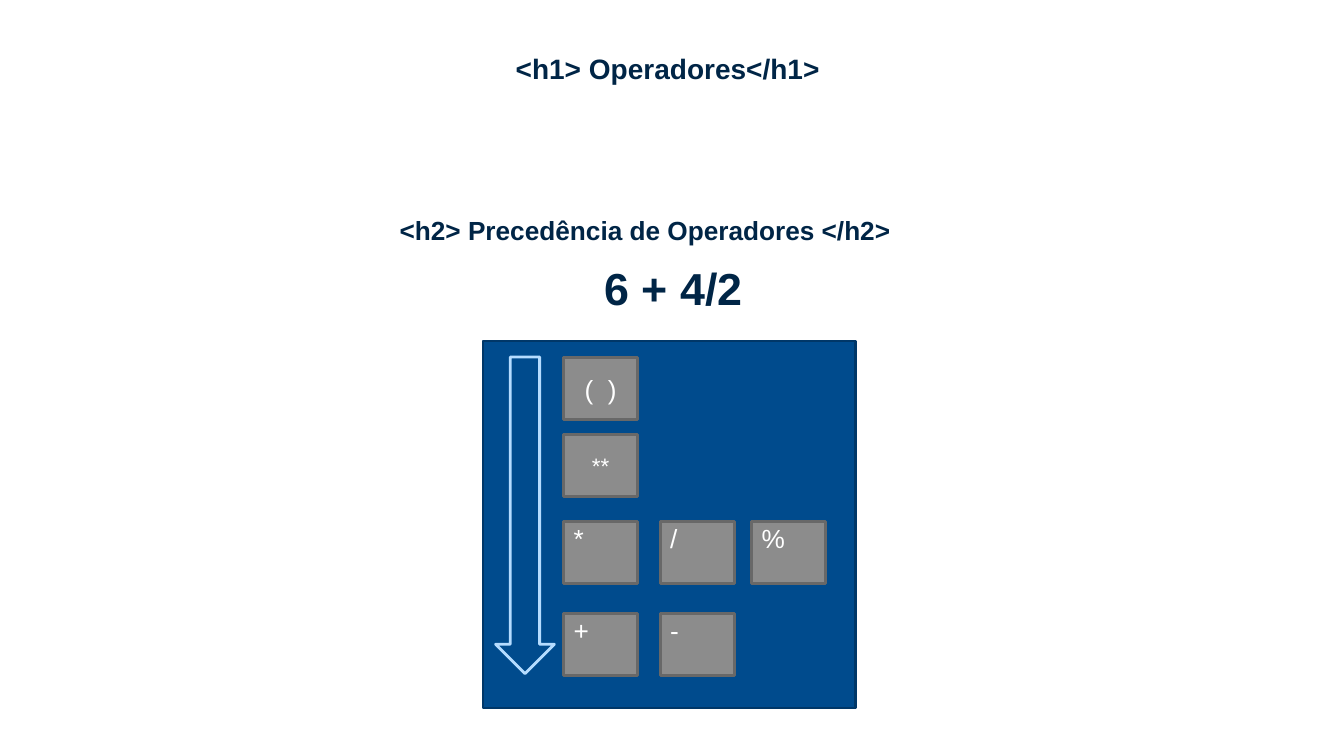
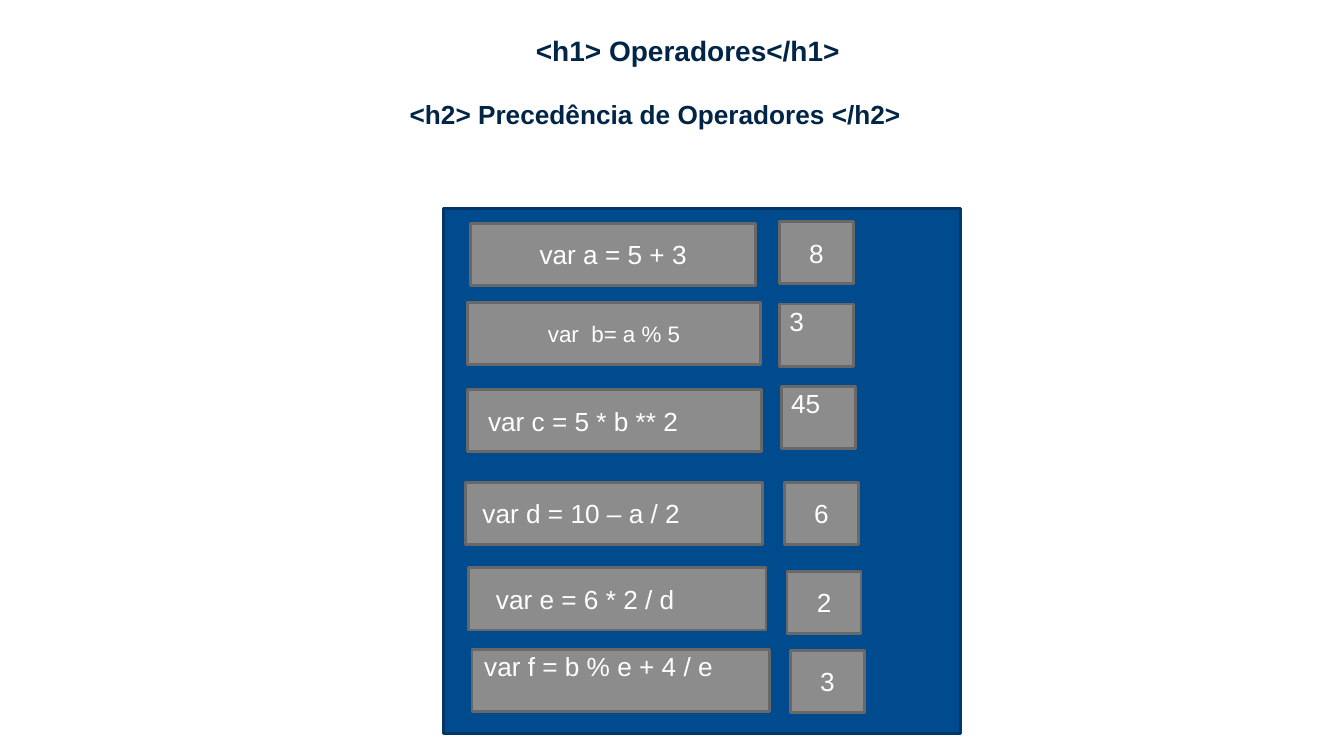
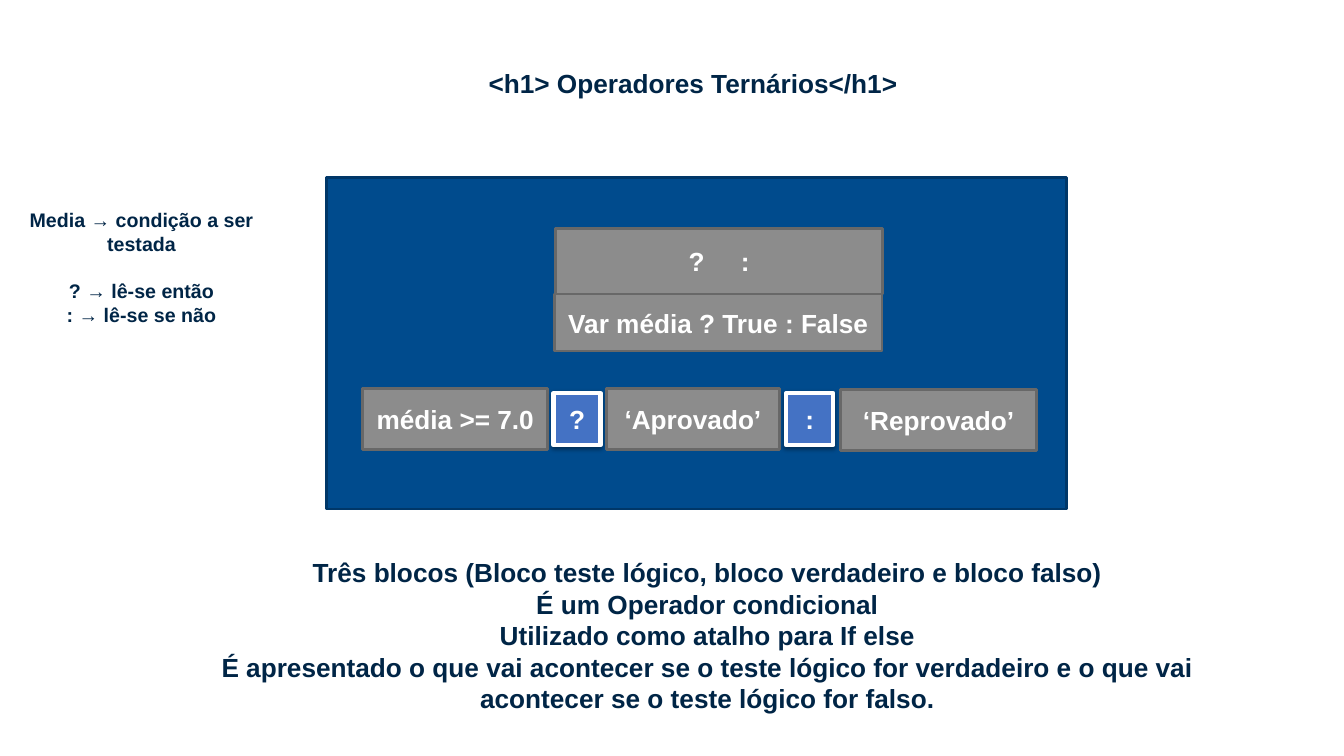
from dataclasses import dataclass
from typing import NamedTuple

import lxml.etree
import pptx
import pptx.dml.color
import pptx.enum.shapes
import pptx.enum.text
import pptx.oxml.ns
import pptx.util

KIND = pptx.enum.shapes.MSO_SHAPE
SIDE = pptx.enum.text.PP_ALIGN
HOLD = pptx.enum.text.MSO_ANCHOR
FIT = pptx.enum.text.MSO_AUTO_SIZE
qn = pptx.oxml.ns.qn


@dataclass(frozen=True)
class Theme:
    font: str = "Arial"
    ink: str = "002546"
    white: str = "FFFFFF"
    panel: str = "004B8D"
    edge: str = "003768"
    arrow: str = "B5DCFF"
    tile: str = "8C8C8C"
    rim: str = "686868"
    mark: str = "4472C4"
    huge: float = 32
    head: float = 20
    text: float = 18.7
    small: float = 16
    note: float = 14


class Box(NamedTuple):
    """Left, top, width and height in grid cells."""
    x: float
    y: float
    w: float
    h: float


@dataclass(frozen=True)
class Tile:
    """A labelled block; lead is a left inset in inches, None centres it."""
    text: str
    box: Box
    size: float = Theme.text
    bold: bool = False
    lead: float | None = None
    top: bool = False
    gap: float = 0
    mark: bool = False


THEME = Theme()
COLS, ROWS = 160, 90
WIDTH, HEIGHT = pptx.util.Inches(13.333), pptx.util.Inches(7.5)
PAD = 0.13
TILE_W, TILE_H = 8.8, 7.4


def place(box: Box) -> tuple[int, int, int, int]:
    """Turn grid cells into slide lengths."""
    dx, dy = WIDTH / COLS, HEIGHT / ROWS
    return round(box.x * dx), round(box.y * dy), round(box.w * dx), round(box.h * dy)


def tint(code: str) -> pptx.dml.color.RGBColor:
    return pptx.dml.color.RGBColor.from_string(code)


def write(frame, text: str, *, size: float = THEME.text, color: str = THEME.ink,
          bold: bool = True, align=SIDE.CENTER, anchor=HOLD.TOP, pad: float = PAD,
          lead: float | None = None, rise: float = PAD, fit=FIT.NONE,
          gap: float = 0, breaks: dict[int, float] | None = None) -> None:
    """Fill a frame; gap widens the spaces, breaks gives space before by line."""
    frame.word_wrap, frame.auto_size = True, fit
    frame.vertical_anchor = anchor
    frame.margin_left = pptx.util.Inches(pad if lead is None else lead)
    frame.margin_right = pptx.util.Inches(pad)
    frame.margin_top = frame.margin_bottom = pptx.util.Inches(rise)
    for num, line in enumerate(text.split("\n")):
        para = frame.paragraphs[0] if num == 0 else frame.add_paragraph()
        props = para._p.get_or_add_pPr()
        props.set("marL", "0")
        props.set("indent", "0")
        para.alignment = align
        para.space_before = pptx.util.Pt((breaks or {}).get(num, 0))
        lxml.etree.SubElement(props, qn("a:buNone"))
        for part in line.partition(" ") if gap else (line,):
            run = para.add_run()
            run.text = part
            run.font.name, run.font.size = THEME.font, pptx.util.Pt(size)
            run.font.bold, run.font.color.rgb = bold, tint(color)
            if gap and part == " ":
                run._r.get_or_add_rPr().set("spc", str(round(gap * 100)))


def label(slide, text: str, box: Box, **style) -> None:
    write(slide.shapes.add_textbox(*place(box)).text_frame, text,
          fit=FIT.SHAPE_TO_FIT_TEXT, **style)


def fill(holder, text: str, box: Box, **style) -> None:
    """Move a placeholder and set its text."""
    holder.left, holder.top, holder.width, holder.height = place(box)
    write(holder.text_frame, text, fit=FIT.SHAPE_TO_FIT_TEXT, **style)


def block(slide, box: Box, paint: str, edge: str, width: float = 2, kind=KIND.RECTANGLE):
    shape = slide.shapes.add_shape(kind, *place(box))
    shape.shadow.inherit = False
    shape.fill.solid()
    shape.fill.fore_color.rgb = tint(paint)
    shape.line.color.rgb = tint(edge)
    shape.line.width = pptx.util.Pt(width)
    return shape


def shade(shape) -> None:
    """Add a soft shadow below a shape."""
    effects = shape._element.spPr.find(qn("a:effectLst"))
    outer = lxml.etree.SubElement(
        effects, qn("a:outerShdw"), blurRad=str(pptx.util.Pt(3.1)),
        dist=str(pptx.util.Pt(1.6)), dir="5400000", rotWithShape="0")
    color = lxml.etree.SubElement(outer, qn("a:srgbClr"), val="000000")
    lxml.etree.SubElement(color, qn("a:alpha"), val="38000")


def draw(slide, tile: Tile) -> None:
    if tile.mark:
        shape = block(slide, tile.box, THEME.mark, THEME.white, 3)
        shade(shape)
    else:
        shape = block(slide, tile.box, THEME.tile, THEME.rim)
    write(shape.text_frame, tile.text, size=tile.size, color=THEME.white,
          bold=tile.bold, pad=0.1, lead=tile.lead, gap=tile.gap,
          rise=0.01 if tile.top else 0.05,
          align=SIDE.CENTER if tile.lead is None else SIDE.LEFT,
          anchor=HOLD.TOP if tile.top else HOLD.MIDDLE)


def start(deck, layout: int, title: str, box: Box, size: float, panel: Box):
    """Add a slide with its title and blue panel."""
    slide = deck.slides.add_slide(deck.slide_layouts[layout])
    fill(slide.shapes.title, title, box, size=size)
    block(slide, panel, THEME.panel, THEME.edge)
    return slide


H1 = "<h1> Operadores</h1>"
H2 = "<h2> Precedência de Operadores </h2>"


def order(deck) -> None:
    """Operator precedence, from first to last."""
    slide = start(deck, 5, H1, Box(20, 4.6, 119, 7.3), THEME.head,
                  Box(57.5, 40.6, 44.3, 43.7))
    label(slide, H2, Box(8, 23.9, 137.6, 7))
    label(slide, "6 + 4/2", Box(11.4, 29.5, 137.6, 9.7), size=THEME.huge)
    cols = (67.1, 78.6, 89.5)
    tops = (42.6, 51.7, 62.1, 73)
    signs = (("( )",), ("**",), ("*", "/", "%"), ("+", "-"))
    for top, row in zip(tops, signs):
        for left, sign in zip(cols, row):
            side = len(row) > 1
            draw(slide, Tile(sign, Box(left, top, TILE_W, TILE_H),
                             size=THEME.small if sign == "**" else THEME.text,
                             lead=0.1 if side else None, top=side,
                             gap=5.2 if sign == "( )" else 0))
    block(slide, Box(59, 42.5, 7, 37.7), THEME.panel, THEME.arrow,
          kind=KIND.DOWN_ARROW)


def sums(deck) -> None:
    """Expressions on the left, their values on the right."""
    slide = start(deck, 5, H1, Box(22.4, 2.4, 119, 7.3), THEME.head,
                  Box(52.8, 24.8, 61.6, 62.5))
    label(slide, H2, Box(9.2, 10.2, 137.6, 7))
    tiles = (
        Tile("var a = 5 + 3", Box(56, 26.6, 34, TILE_H)),
        Tile("var b= a % 5", Box(55.7, 36, 34.8, TILE_H), size=THEME.small, gap=4.45),
        Tile("var c = 5 * b ** 2", Box(55.7, 46.4, 35, TILE_H), lead=0.2),
        Tile("var d = 10 – a / 2", Box(55.4, 57.4, 35.4, TILE_H), lead=0.17),
        Tile("var e = 6 * 2 / d", Box(55.8, 67.6, 35.4, TILE_H), lead=0.27),
        Tile("var f = b % e + 4 / e", Box(56.2, 77.3, 35.4, TILE_H), lead=0.12, top=True),
        Tile("8", Box(92.8, 26.4, TILE_W, TILE_H)),
        Tile("3", Box(92.8, 36.2, TILE_W, TILE_H), lead=0.1, top=True),
        Tile("45", Box(93, 46, TILE_W, TILE_H), lead=0.1, top=True),
        Tile("6", Box(93.4, 57.4, TILE_W, TILE_H)),
        Tile("2", Box(93.7, 68, TILE_W, TILE_H)),
        Tile("3", Box(94.1, 77.4, TILE_W, TILE_H)),
    )
    for tile in tiles:
        draw(slide, tile)


def choice(deck) -> None:
    """The ternary operator and its three parts."""
    slide = start(deck, 1, "<h1> Operadores Ternários</h1>", Box(23, 6.4, 119, 7),
                  THEME.text, Box(38.9, 21.1, 88.1, 39.5))
    tiles = (
        Tile("? :", Box(66.1, 27.2, 39, 7.8), bold=True, gap=20.8),
        Tile("Var média ? True : False", Box(66, 35, 39, 6.8), bold=True),
        Tile("média >= 7.0", Box(43.2, 46.3, 22, 7.2), bold=True),
        Tile("?", Box(65.9, 46.8, 5.6, 6.2), bold=True, mark=True),
        Tile("‘Aprovado’", Box(72.2, 46.3, 20.6, 7.2), bold=True),
        Tile(":", Box(93.6, 46.8, 5.6, 6.2), bold=True, mark=True),
        Tile("‘Reprovado’", Box(100.1, 46.4, 23.3, 7.2), bold=True),
    )
    for tile in tiles:
        draw(slide, tile)
    facts = (
        "Três blocos (Bloco teste lógico, bloco verdadeiro e bloco falso)",
        "É um Operador condicional",
        "Utilizado como atalho para If else",
        "É apresentado o que vai acontecer se o teste lógico for verdadeiro "
        "e o que vai acontecer se o teste lógico for falso.",
    )
    fill(slide.placeholders[1], "\n".join(facts), Box(24.7, 64.7, 119, 22.1))
    label(slide, "Media → condição a ser testada\n? → lê-se então\n: → lê-se se não",
          Box(0, 24.2, 33.7, 15.4), size=THEME.note, pad=0.1, rise=0.05,
          breaks={1: 17})


def main() -> None:
    deck = pptx.Presentation()
    deck.slide_width, deck.slide_height = WIDTH, HEIGHT
    for build in (order, sums, choice):
        build(deck)
    deck.save("out.pptx")


if __name__ == "__main__":
    main()
